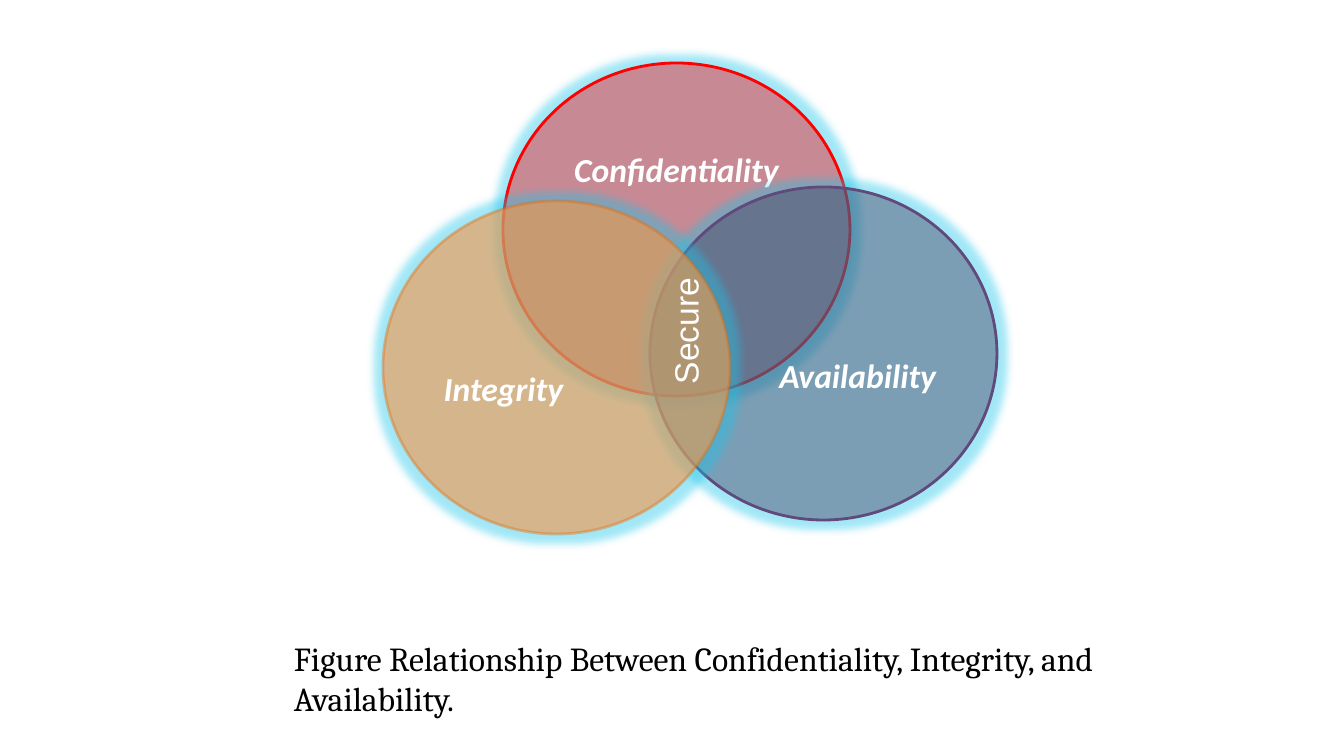
from dataclasses import dataclass

from pptx import Presentation
from pptx.dml.color import RGBColor as Rgb
from pptx.enum.shapes import MSO_SHAPE as Shape
from pptx.enum.text import MSO_ANCHOR as Anchor
from pptx.enum.text import MSO_AUTO_SIZE as Fit
from pptx.enum.text import PP_ALIGN as Align
from pptx.oxml.ns import qn
from pptx.oxml.xmlchemy import OxmlElement as Node
from pptx.util import Emu, Pt


def px(n):
    return Emu(round(n * 914400 / 100.8))


@dataclass(frozen=True)
class Theme:
    ink: str = "000000"
    white: str = "FFFFFF"
    glow: str = "19C5EB"
    size: int = 24
    line: int = 2
    halo: int = 11


THEME = Theme()
DISC = (347, 333)

# Name, left, top, fill, fill alpha, line, line alpha, side, text drop
RINGS = [
    ("Confidentiality", 120, 0, "FF0000", 40, "FF0000", 100, Align.CENTER, 37),
    ("Availability", 267, 124, "403152", 40, "604A7B", 100, Align.RIGHT, 119),
    ("Integrity", 0, 138, "F79646", 60, "E46C0A", 40, Align.LEFT, 118),
]


def put(obj, vals):
    for key, val in vals.items():
        setattr(obj, key, val)


def write(frame, text, face, color, side=Align.LEFT, **look):
    para = frame.paragraphs[0]
    para.alignment = side
    run = para.add_run()
    run.text = text
    put(run.font, {"name": face, "size": Pt(THEME.size), **look})
    run.font.color.rgb = Rgb.from_string(color)


def fade(node, pct):
    alpha = Node("a:alpha")
    alpha.set("val", str(pct * 1000))
    node.append(alpha)


def paint(fill, color, pct, node):
    fill.solid()
    fill.fore_color.rgb = Rgb.from_string(color)
    if pct < 100:
        fade(node.find(qn("a:solidFill")).find(qn("a:srgbClr")), pct)


def add_glow(shape):
    shape.shadow.inherit = False
    glow, tint = Node("a:glow"), Node("a:srgbClr")
    glow.set("rad", str(Pt(THEME.halo)))
    tint.set("val", THEME.glow)
    fade(tint, 40)
    glow.append(tint)
    shape._element.spPr.find(qn("a:effectLst")).append(glow)


def add_ring(slide, left, top, ring):
    name, dx, dy, fill, dim, line, thin, side, drop = ring
    disc = slide.shapes.add_shape(
        Shape.OVAL, *map(px, (left + dx, top + dy, *DISC)))
    props = disc._element.spPr
    paint(disc.fill, fill, dim, props)
    disc.line.width = Pt(THEME.line)
    paint(disc.line.fill, line, thin, props.find(qn("a:ln")))
    add_glow(disc)
    put(disc.text_frame, {"word_wrap": True, "vertical_anchor": Anchor.TOP,
                          "margin_top": px(drop), "margin_bottom": 0})
    write(disc.text_frame, name, "Calibri", THEME.white, side,
          bold=True, italic=True)


def add_label(slide, box, text, face, color, wrap=True, turn=0):
    label = slide.shapes.add_textbox(*map(px, box))
    label.rotation = turn
    put(label.text_frame, {"word_wrap": wrap,
                           "auto_size": Fit.SHAPE_TO_FIT_TEXT})
    write(label.text_frame, text, face, color)


def add_venn(slide, left, top):
    for ring in RINGS:
        add_ring(slide, left, top, ring)
    # Shared core of the three rings
    add_label(slide, (left + 238, top + 242, 128, 50), "Secure", "Arial",
              THEME.white, wrap=False, turn=270)


def main():
    deck = Presentation()
    put(deck, {"slide_width": px(1344), "slide_height": px(756)})
    slide = deck.slides.add_slide(deck.slide_layouts[6])
    # Caption
    add_label(slide, (284, 633, 862, 92),
              "Figure Relationship Between Confidentiality, Integrity, "
              "and Availability.", "Cambria", THEME.ink)
    # Diagram
    add_venn(slide, 383, 63)
    deck.save("out.pptx")


if __name__ == "__main__":
    main()
